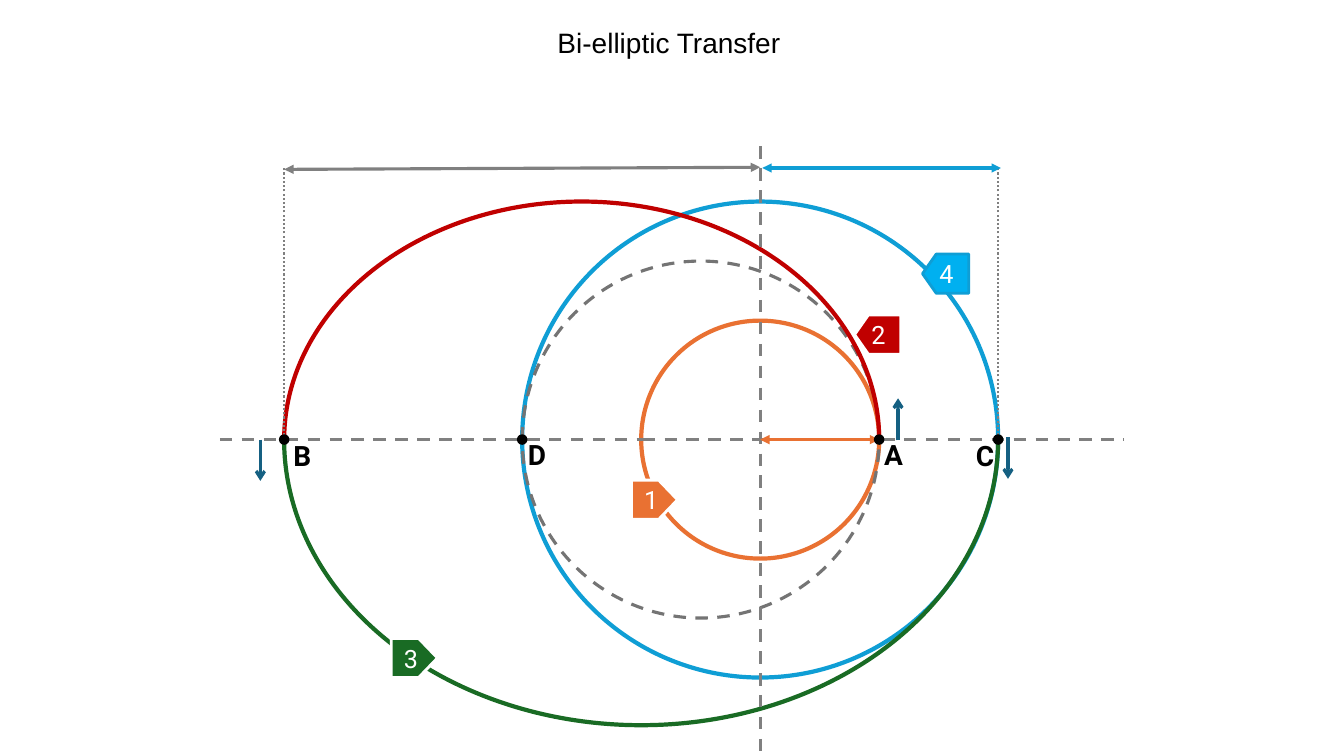
from dataclasses import dataclass

from lxml import etree
from pptx import Presentation
from pptx.dml import color
from pptx.enum import dml, shapes, text
from pptx.oxml import ns
from pptx.util import Pt


@dataclass(frozen=True)
class Theme:
    black: str = "000000"
    white: str = "FFFFFF"
    orange: str = "E97132"
    blue: str = "0F9ED5"
    sky: str = "00B0F0"
    red: str = "C00000"
    green: str = "196B24"
    teal: str = "156082"
    grey: str = "808080"
    dark_grey: str = "747474"
    title_font: str = "Arial"
    label_font: str = "Roboto"
    title_size: int = 20
    label_size: int = 20
    tag_size: int = 18


T = Theme()
SHAPE = shapes.MSO_SHAPE
DASH = dml.MSO_LINE.DASH
DOT = dml.MSO_LINE.ROUND_DOT
LEFT, RIGHT = text.PP_ALIGN.LEFT, text.PP_ALIGN.RIGHT
FOCUS_X, AXIS_Y, RADIUS = 543, 314, 85


def rgb(value):
    return color.RGBColor.from_string(value)


def apsis_x(radii):
    return FOCUS_X + radii * RADIUS


def style_line(line, colour, width, dash=None):
    line.color.rgb = rgb(colour)
    line.width = Pt(width)
    if dash:
        line.dash_style = dash


def add_text(tf, words, font, size, colour, bold=False, align=LEFT):
    p = tf.paragraphs[0]
    p.alignment = align
    r = p.add_run()
    r.text = words
    r.font.name = font
    r.font.size = Pt(size)
    r.font.bold = bold
    r.font.color.rgb = rgb(colour)


def add_figure(slide, kind, box, line, fill=None, width=3, dash=None):
    s = slide.shapes.add_shape(kind, *map(Pt, box))
    s.shadow.inherit = False
    if fill:
        s.fill.solid()
        s.fill.fore_color.rgb = rgb(fill)
    else:
        s.fill.background()
    style_line(s.line, line, width, dash)
    return s


def add_orbit(slide, left, right, height, colour, width=3, dash=None, angles=None):
    box = (apsis_x(left), AXIS_Y - height / 2, (right - left) * RADIUS, height)
    kind = SHAPE.ARC if angles else SHAPE.OVAL
    s = add_figure(slide, kind, box, colour, width=width, dash=dash)
    for i, angle in enumerate(angles or ()):
        s.adjustments[i] = angle * 0.6


def add_line(slide, start, end, colour, width=2.25, dash=None, head=None, tail=None):
    s = slide.shapes.add_connector(
        shapes.MSO_CONNECTOR.STRAIGHT, *map(Pt, start + end))
    style_line(s.line, colour, width, dash)
    ln = s.line._get_or_add_ln()
    for name, kind in (("a:headEnd", head), ("a:tailEnd", tail)):
        if kind:
            etree.SubElement(ln, ns.qn(name)).set("type", kind)
    etree.SubElement(s._element.spPr, ns.qn("a:effectLst"))


def add_tag(slide, number, x, y, fill, line=T.white, flip=False):
    s = add_figure(slide, SHAPE.PENTAGON, (x, y, 33, 28), line, fill, width=2)
    s.adjustments[0] = 0.35 if flip else 0.48
    if flip:
        s._element.spPr.get_or_add_xfrm().set("flipH", "1")
    tf = s.text_frame
    tf.vertical_anchor = text.MSO_ANCHOR.MIDDLE
    add_text(tf, number, T.label_font, T.tag_size, T.white,
             align=LEFT if flip else RIGHT)


def add_dot(slide, x):
    add_figure(slide, SHAPE.OVAL, (x - 3, AXIS_Y - 3, 6, 6), T.black, T.black, width=1.5)


def add_label(slide, letter, x, y, width):
    tf = slide.shapes.add_textbox(Pt(x), Pt(y), Pt(width), Pt(31.5)).text_frame
    tf.word_wrap = False
    tf.auto_size = text.MSO_AUTO_SIZE.SHAPE_TO_FIT_TEXT
    add_text(tf, letter, T.label_font, T.label_size, T.black, bold=True)


def set_title(slide, words):
    s = slide.shapes.title
    s.left, s.top, s.width, s.height = map(Pt, (391, 14.5, 207, 31.5))
    tf = s.text_frame
    tf.word_wrap = True
    tf.auto_size = text.MSO_AUTO_SIZE.NONE
    tf.vertical_anchor = text.MSO_ANCHOR.TOP
    add_text(tf, words, T.title_font, T.title_size, T.black)


def main():
    prs = Presentation()
    prs.slide_width, prs.slide_height = Pt(960), Pt(540)
    slide = prs.slides.add_slide(prs.slide_layouts[5])
    set_title(slide, "Bi-elliptic Transfer")

    add_orbit(slide, -1, 1, 170, T.orange)
    for start, end in ((157, 469), (630, 803), (459, 636)):
        add_line(slide, (start, AXIS_Y), (end, AXIS_Y), T.grey, dash=DASH)
    add_orbit(slide, -2, 2, 340, T.blue)
    add_orbit(slide, -2, 1, 255, T.dark_grey, width=2.25, dash=DASH)
    add_orbit(slide, -4, 1, 340, T.red, angles=(180.23, 0))
    add_orbit(slide, -4, 2, 408, T.green, angles=(359.98, 179.94))
    add_line(slide, (FOCUS_X, 104.5), (FOCUS_X, 540), T.grey, dash=DASH)

    add_tag(slide, "1", 451, 343, T.orange)
    add_tag(slide, "2", 610.5, 225, T.red, flip=True)
    add_tag(slide, "3", 279.5, 456, T.green)
    add_tag(slide, "4", 659, 181.5, T.sky, T.blue, flip=True)

    for radii in (-4, 2):
        x = apsis_x(radii)
        add_line(slide, (x, AXIS_Y), (x, 120), T.grey, width=1.5, dash=DOT)
    for start, end, colour in (
        ((544.5, 120), (715, 120), T.blue),
        ((FOCUS_X, 119.5), (apsis_x(-4), 121), T.grey),
        ((FOCUS_X, AXIS_Y), (apsis_x(1), AXIS_Y), T.orange),
    ):
        add_line(slide, start, end, colour, head="triangle", tail="triangle")
    for x, start, end in ((641.5, 314.5, 284.5), (186, 314, 343.5), (720, 312.5, 342)):
        add_line(slide, (x, start), (x, end), T.teal, tail="arrow")

    for radii in (2, -4, 1, -2):
        add_dot(slide, apsis_x(radii))
    for letter, x, y, width in (
        ("A", 624.5, 309, 27.5),
        ("D", 370, 309, 29),
        ("B", 202.5, 309.5, 27.5),
        ("C", 690, 309.5, 29),
    ):
        add_label(slide, letter, x, y, width)

    prs.save("out.pptx")


if __name__ == "__main__":
    main()
